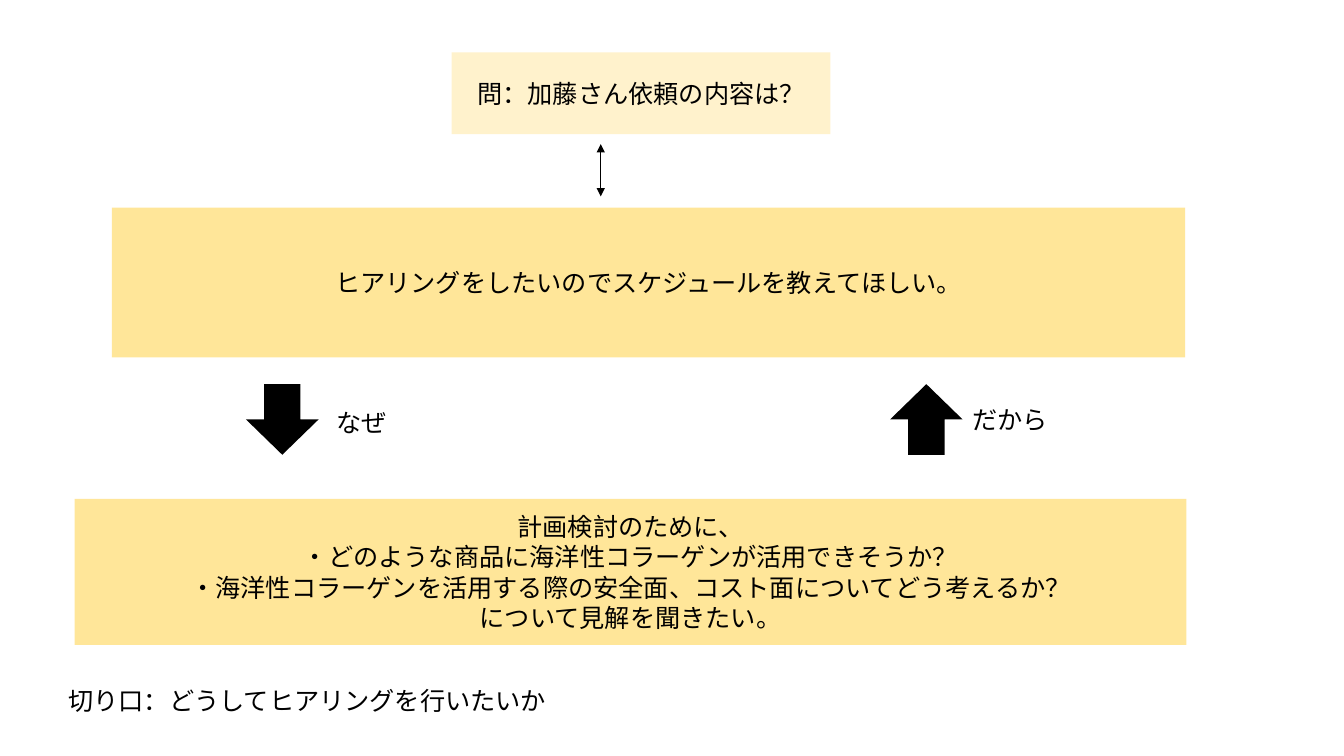
from lxml import etree
from pptx import Presentation
from pptx import util as u
from pptx.dml.color import RGBColor
from pptx.enum import shapes, text
from pptx.oxml.ns import qn

COLOURS = {"question": "FFF2CC", "answer": "FFE699", "ink": "000000"}
FONT = "Noto Sans CJK JP"

presentation = Presentation()
presentation.slide_width = u.Cm(33.87)
presentation.slide_height = u.Cm(19.05)
slide = presentation.slides.add_slide(presentation.slide_layouts[6])


def write(shape, wording, align=text.PP_ALIGN.LEFT, anchor=text.MSO_ANCHOR.TOP, size=18):
    frame = shape.text_frame
    frame.word_wrap = True
    frame.vertical_anchor = anchor
    frame.text = wording
    for paragraph in frame.paragraphs:
        paragraph.alignment = align
        for run in paragraph.runs:
            run.font.size = u.Pt(size)
            run.font.name = FONT
            run.font.color.rgb = RGBColor.from_string(COLOURS["ink"])
            east_asian = etree.SubElement(run.font._element, qn("a:ea"))
            east_asian.set("typeface", FONT)


def add_filled(kind, place, colour):
    shape = slide.shapes.add_shape(kind, *map(u.Cm, place))
    shape.shadow.inherit = False
    shape.fill.solid()
    shape.fill.fore_color.rgb = RGBColor.from_string(COLOURS[colour])
    shape.line.fill.background()
    return shape


boxes = [
    ((11.38, 1.32, 9.55, 2.06), "question", "問：加藤さん依頼の内容は？"),
    ((2.82, 5.23, 27.05, 3.78), "answer", "ヒアリングをしたいのでスケジュールを教えてほしい。"),
    ((1.88, 12.57, 28.02, 3.68), "answer",
     "計画検討のために、\n"
     "・どのような商品に海洋性コラーゲンが活用できそうか？\n"
     "・海洋性コラーゲンを活用する際の安全面、コスト面についてどう考えるか？\n"
     "について見解を聞きたい。"),
]
for place, colour, wording in boxes:
    box = add_filled(shapes.MSO_SHAPE.RECTANGLE, place, colour)
    write(box, wording, align=text.PP_ALIGN.CENTER, anchor=text.MSO_ANCHOR.MIDDLE)

link = slide.shapes.add_connector(
    shapes.MSO_CONNECTOR.STRAIGHT, u.Cm(15.14), u.Cm(3.63), u.Cm(15.14), u.Cm(4.95))
link.line.width = u.Pt(0.5)
link.line.color.rgb = RGBColor.from_string(COLOURS["ink"])
for end in ("a:headEnd", "a:tailEnd"):
    etree.SubElement(link.line._get_or_add_ln(), qn(end)).set("type", "triangle")
etree.SubElement(link._element.spPr, qn("a:effectLst"))

for left, rotation in ((6.2, 0), (22.43, 180)):
    arrow = add_filled(shapes.MSO_SHAPE.DOWN_ARROW, (left, 9.68, 1.83, 1.78), "ink")
    arrow.rotation = rotation

labels = [
    (8.23, 10.13, 1.83, "なぜ"),
    (24.26, 10.06, 4.11, "だから"),
    (1.47, 17.15, 18.8, "切り口：どうしてヒアリングを行いたいか"),
]
for left, top, width, wording in labels:
    label = slide.shapes.add_textbox(u.Cm(left), u.Cm(top), u.Cm(width), u.Cm(1.03))
    write(label, wording)
    label.text_frame.auto_size = text.MSO_AUTO_SIZE.SHAPE_TO_FIT_TEXT

presentation.save("out.pptx")
